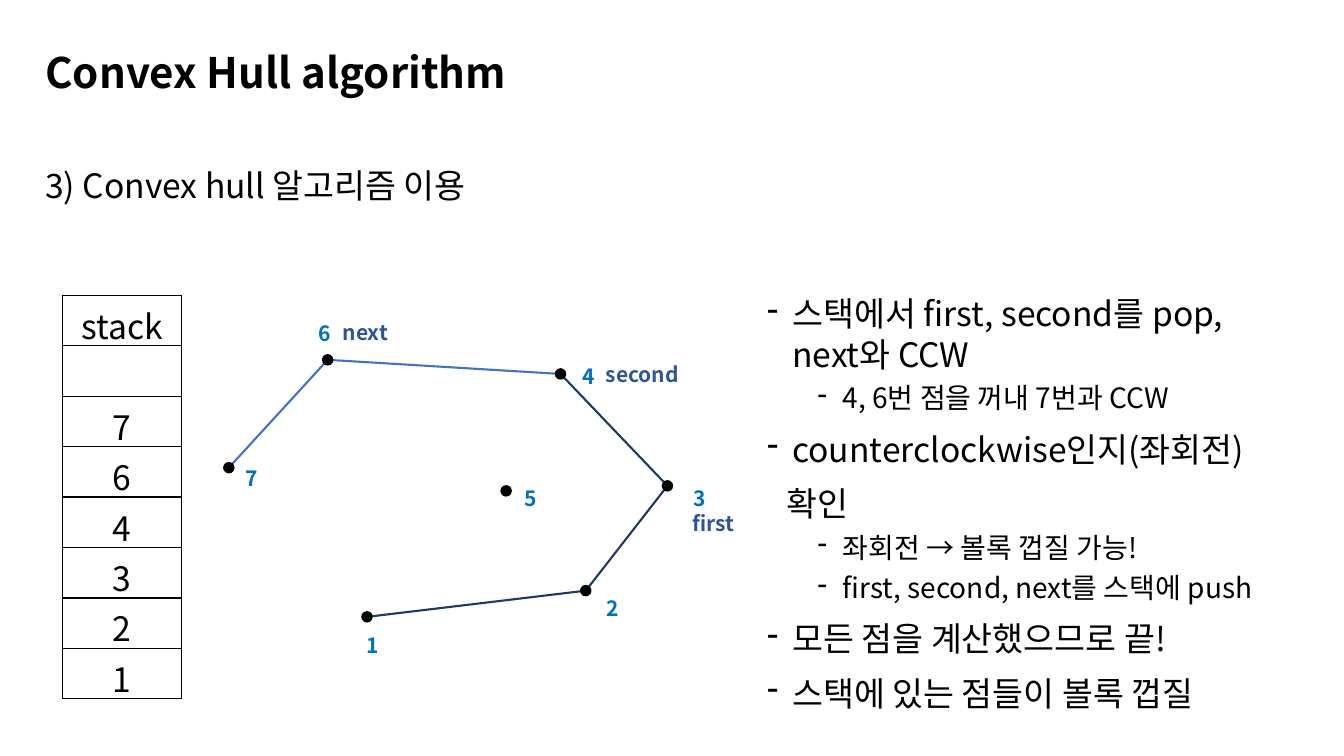
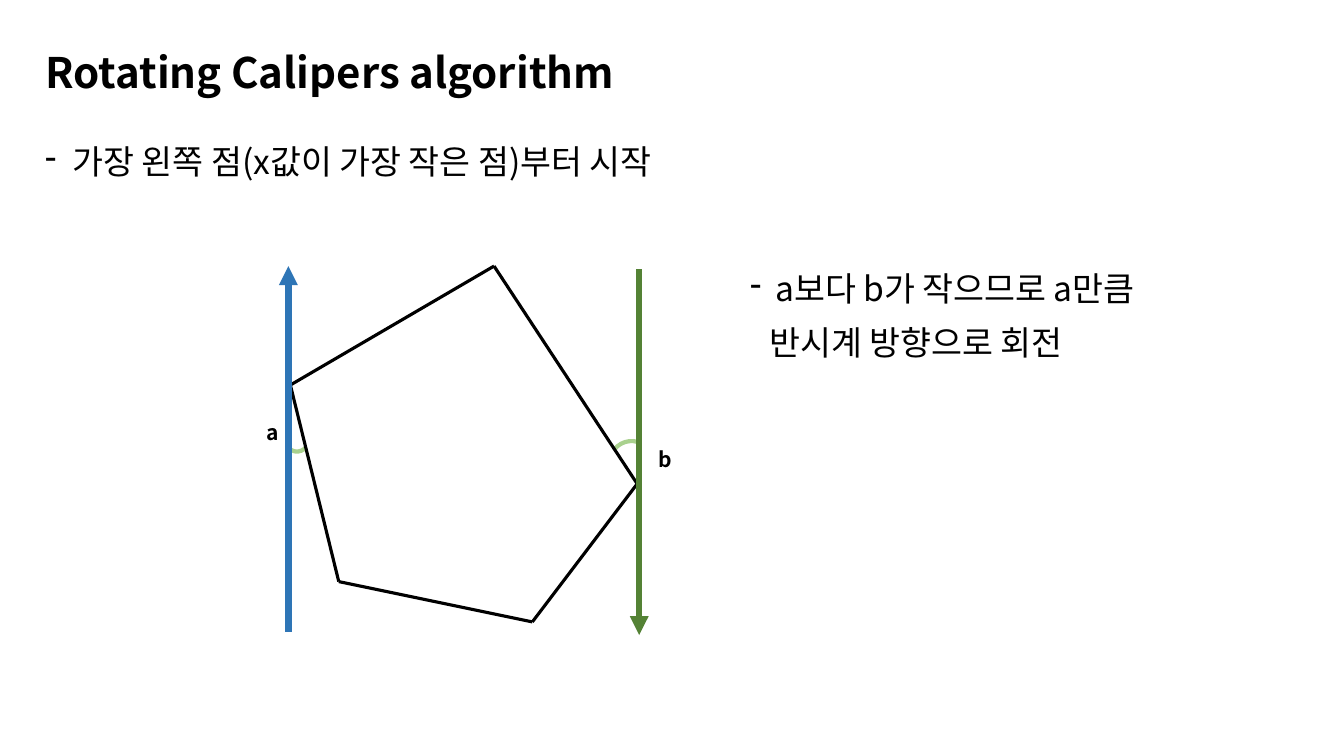
from itertools import pairwise
from typing import NamedTuple

from lxml.etree import SubElement
from pptx import Presentation
from pptx.dml.color import RGBColor
from pptx.enum.shapes import MSO_CONNECTOR, MSO_SHAPE
from pptx.enum.text import MSO_ANCHOR, MSO_AUTO_SIZE, PP_ALIGN
from pptx.oxml.ns import qn
from pptx.util import Inches, Pt

FONT = "Noto Sans CJK KR"
BLACK, WHITE = "000000", "FFFFFF"
LABEL, ROLE = "0070C0", "2F5597"
BLUE, NAVY = "4472C4", "203864"
UP, DOWN, ANGLE = "2E75B6", "548235", "A9D18E"
LEFT, WIDE = 0.35, 12.61
DOT = 0.1


class Item(NamedTuple):
    """One paragraph of a text; a hanging indent brings a dash."""
    text: str
    size: float = 24
    left: float = 0
    hang: float = 0
    before: float = 10


class Point(NamedTuple):
    """A numbered dot with its centre and the place of its label."""
    x: float
    y: float
    tag_x: float
    tag_y: float


class Tag(NamedTuple):
    """A short bold label."""
    text: str
    x: float
    y: float
    width: float = 1.1


class Patch(NamedTuple):
    """A turned shape that forms part of an angle mark."""
    x: float
    y: float
    width: float
    height: float
    turn: float


class Angle(NamedTuple):
    """A ring with two masks that leave only its arc in sight."""
    ring: Patch
    masks: tuple[Patch, Patch]


def paint(hue: str) -> RGBColor:
    """Turn a hex string into a colour."""
    return RGBColor.from_string(hue)


def write(para, text: str, *, size: float = 24, color: str = BLACK,
          bold: bool = False, align=PP_ALIGN.LEFT, space: float = 1,
          before: float = 0, left: float = 0, hang: float = 0) -> None:
    """Write text into a paragraph with its format."""
    run = para.add_run()
    run.text = text
    font = run.font
    font.size, font.bold, font.name = Pt(size), bold, FONT
    font.color.rgb = paint(color)
    SubElement(run._r.get_or_add_rPr(), qn("a:ea")).set("typeface", FONT)
    para.alignment, para.line_spacing = align, space
    para.space_before = Pt(before)
    props = para._p.get_or_add_pPr()
    props.set("marL", str(Inches(left)))
    props.set("indent", str(Inches(-hang)))
    if hang:
        SubElement(props, qn("a:buChar")).set("char", "-")


def add_text(slide, x: float, y: float, width: float, height: float,
             items: list[Item], space: float = 1) -> None:
    """Add a text box of one or more paragraphs."""
    box = slide.shapes.add_textbox(Inches(x), Inches(y), Inches(width), Inches(height))
    frame = box.text_frame
    frame.word_wrap = True
    for num, item in enumerate(items):
        para = frame.add_paragraph() if num else frame.paragraphs[0]
        write(para, item.text, size=item.size, left=item.left, hang=item.hang,
              before=item.before, space=space)


def add_tag(slide, tag: Tag, color: str) -> None:
    """Add a bold label whose box fits its text."""
    box = slide.shapes.add_textbox(Inches(tag.x), Inches(tag.y),
                                   Inches(tag.width), Inches(0.35))
    frame = box.text_frame
    frame.word_wrap = True
    frame.auto_size = MSO_AUTO_SIZE.SHAPE_TO_FIT_TEXT
    write(frame.paragraphs[0], tag.text, size=15, color=color, bold=True)


def add_line(slide, start: tuple[float, float], end: tuple[float, float],
             color: str, width: float, arrow: bool = False) -> None:
    """Draw a straight line, with an arrowhead at its end if asked."""
    line = slide.shapes.add_connector(MSO_CONNECTOR.STRAIGHT,
                                      *map(Inches, (*start, *end)))
    line.line.color.rgb = paint(color)
    line.line.width = Pt(width)
    if arrow:
        SubElement(line.line._get_or_add_ln(), qn("a:tailEnd")).set("type", "triangle")
    SubElement(line._element.spPr, qn("a:effectLst"))


def add_patch(slide, kind, patch: Patch, line: str, width: float = 1,
              fill: str | None = None) -> None:
    """Add a preset shape, filled or hollow."""
    shape = slide.shapes.add_shape(kind, *map(Inches, patch[:4]))
    shape.rotation = patch.turn
    shape.shadow.inherit = False
    if fill:
        shape.fill.solid()
        shape.fill.fore_color.rgb = paint(fill)
    else:
        shape.fill.background()
    shape.line.color.rgb = paint(line)
    shape.line.width = Pt(width)


def add_stack(slide, rows: list[str]) -> None:
    """Add the stack as a table of one column."""
    step = 0.5
    table = slide.shapes.add_table(len(rows), 1, Inches(0.62), Inches(2.93),
                                   Inches(1.18), Inches(step * len(rows))).table
    table.first_row = table.horz_banding = False
    for num, text in enumerate(rows):
        table.rows[num].height = Inches(step)
        cell = table.cell(num, 0)
        props = cell._tc.get_or_add_tcPr()
        for side in ("lnL", "lnR", "lnT", "lnB"):
            edge = SubElement(props, qn(f"a:{side}"), w=str(Pt(1)))
            fill = SubElement(edge, qn("a:solidFill"))
            SubElement(fill, qn("a:srgbClr"), val=BLACK)
        cell.fill.background()
        if text:
            write(cell.text_frame.paragraphs[0], text, align=PP_ALIGN.CENTER)


def add_slide(deck, text: str):
    """Add a slide with the shared title style."""
    slide = deck.slides.add_slide(deck.slide_layouts[5])
    title = slide.shapes.title
    title.left, title.top = Inches(LEFT), Inches(0.35)
    title.width, title.height = Inches(WIDE), Inches(0.79)
    frame = title.text_frame
    frame.vertical_anchor = MSO_ANCHOR.MIDDLE
    frame.auto_size = MSO_AUTO_SIZE.NONE
    write(frame.paragraphs[0], text, size=30, bold=True, space=0.9)
    return slide


def dash(text: str) -> Item:
    """Make a main point."""
    return Item(text, left=0.25, hang=0.25)


def sub(text: str) -> Item:
    """Make a point of the second level."""
    return Item(text, size=20, left=0.75, hang=0.25, before=5)


def more(text: str) -> Item:
    """Make a line that goes on from the point above."""
    return Item(text, left=0.19)


POINTS = {
    1: Point(3.64, 6.12, 3.54, 6.23),
    2: Point(5.81, 5.86, 5.92, 5.86),
    3: Point(6.62, 4.82, 6.78, 4.77),
    4: Point(5.56, 3.71, 5.68, 3.56),
    5: Point(5.02, 4.87, 5.1, 4.77),
    6: Point(3.25, 3.57, 3.06, 3.13),
    7: Point(2.27, 4.64, 2.34, 4.57),
}
CHAINS = {NAVY: (1, 2, 3, 4), BLUE: (4, 6, 7)}
ROLES = [Tag("first", 6.77, 5.02), Tag("second", 5.91, 3.54), Tag("next", 3.3, 3.12)]
STEPS = [
    dash("스택에서 first, second를 pop, next와 CCW"),
    sub("4, 6번 점을 꺼내 7번과 CCW"),
    dash("counterclockwise인지(좌회전)"),
    more("확인"),
    sub("좌회전 → 볼록 껍질 가능!"),
    sub("first, second, next를 스택에 push"),
    dash("모든 점을 계산했으므로 끝!"),
    dash("스택에 있는 점들이 볼록 껍질"),
]
CORNERS = [(2.88, 3.82), (4.9, 2.64), (6.32, 4.8), (5.28, 6.17), (3.36, 5.77)]
ANGLES = [
    Angle(Patch(6.07, 4.38, 0.33, 0.24, 162.6),
          (Patch(6.2, 4.42, 0.32, 0.24, 130.8), Patch(5.95, 4.49, 0.32, 0.24, 203.9))),
    Angle(Patch(2.83, 4.24, 0.23, 0.24, 353.9),
          (Patch(2.75, 4.17, 0.22, 0.24, 322), Patch(2.93, 4.16, 0.22, 0.24, 35.1))),
]


def draw_hull(deck) -> None:
    """Build the slide on the convex hull."""
    slide = add_slide(deck, "Convex Hull algorithm")
    add_text(slide, LEFT, 1.39, 11.12, 0.73,
             [Item("3) Convex hull 알고리즘 이용")], space=1.5)
    add_stack(slide, ["stack", "", "7", "6", "4", "3", "2", "1"])
    add_text(slide, 7.51, 2.86, 5.45, 4.57, STEPS)
    for color, chain in CHAINS.items():
        for start, end in pairwise(chain):
            add_line(slide, POINTS[start][:2], POINTS[end][:2], color, 1.5)
    for num, point in POINTS.items():
        dot = Patch(point.x - DOT / 2, point.y - DOT / 2, DOT, DOT, 0)
        add_patch(slide, MSO_SHAPE.OVAL, dot, BLACK, fill=BLACK)
        add_tag(slide, Tag(str(num), point.tag_x, point.tag_y, 0.48), LABEL)
    for role in ROLES:
        add_tag(slide, role, ROLE)


def draw_turn(deck) -> None:
    """Build the slide on the rotating calipers."""
    slide = add_slide(deck, "Rotating Calipers algorithm")
    for angle in ANGLES:
        add_patch(slide, MSO_SHAPE.OVAL, angle.ring, ANGLE, 3)
        for mask in angle.masks:
            add_patch(slide, MSO_SHAPE.RECTANGLE, mask, WHITE, fill=WHITE)
    add_text(slide, LEFT, 1.39, WIDE, 0.72,
             [Item("가장 왼쪽 점(x값이 가장 작은 점)부터 시작", left=0.27, hang=0.27)],
             space=0.9)
    for start, end in pairwise(CORNERS + CORNERS[:1]):
        add_line(slide, start, end, BLACK, 2.25)
    add_line(slide, (6.34, 2.67), (6.34, 6.3), DOWN, 4.5, arrow=True)
    add_line(slide, (2.86, 6.27), (2.86, 2.64), UP, 4.5, arrow=True)
    add_text(slide, 7.34, 2.61, 5.45, 3.25,
             [dash("a보다 b가 작으므로 a만큼"), more("반시계 방향으로 회전")])
    for tag in (Tag("a", 2.54, 4.11, 0.48), Tag("b", 6.43, 4.38, 0.48)):
        add_tag(slide, tag, BLACK)


def main() -> None:
    """Build and save the deck."""
    deck = Presentation()
    deck.slide_width, deck.slide_height = Inches(13.33), Inches(7.5)
    draw_hull(deck)
    draw_turn(deck)
    deck.save("out.pptx")


main()
